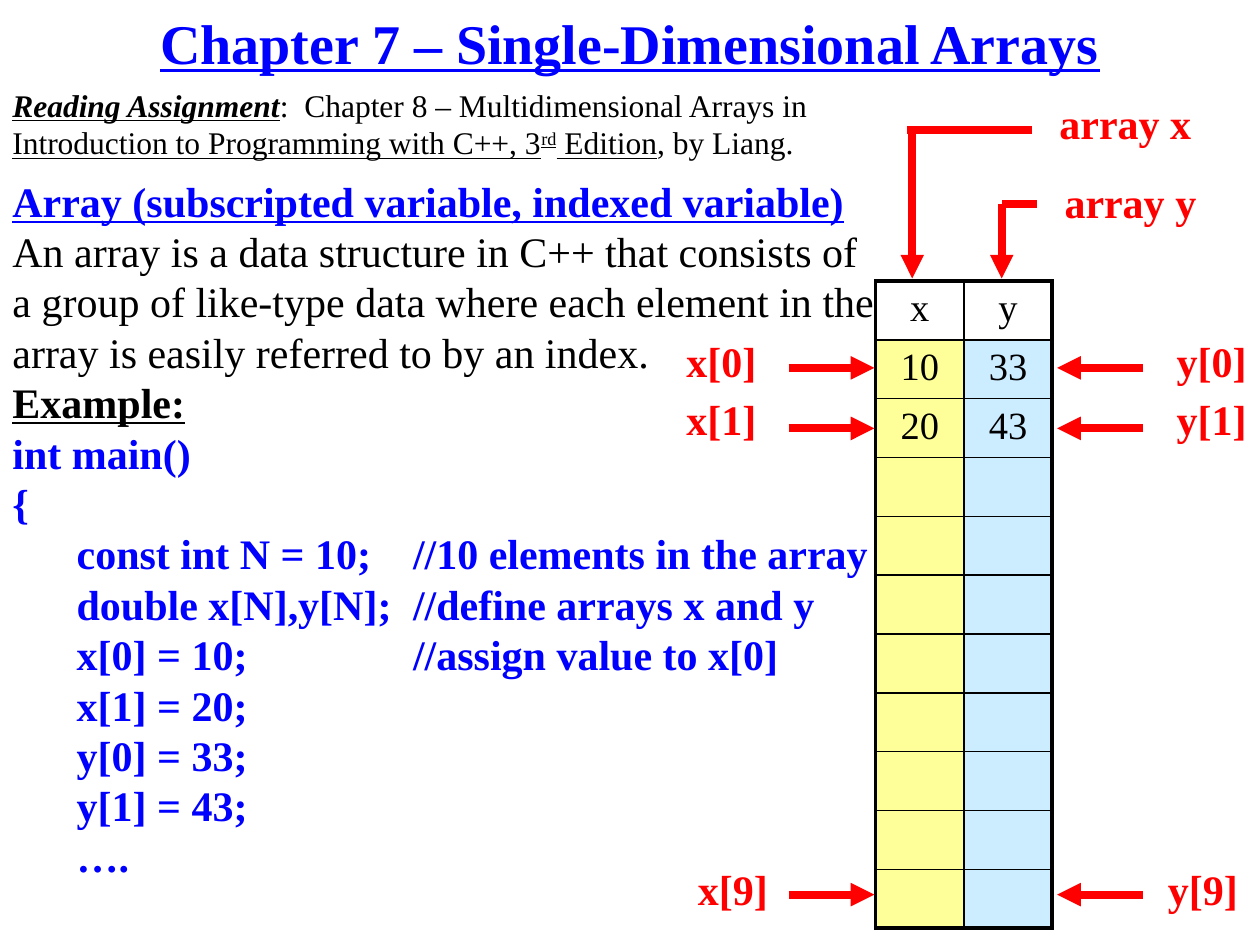
from lxml import etree
from pptx import Presentation
from pptx import util as u
from pptx.dml.color import RGBColor
from pptx.enum import shapes, text
from pptx.oxml.ns import qn

PX = 9144  # EMU per px, at 100 px to the inch
BLUE, RED, BLACK, WHITE = "0000FF", "FF0000", "000000", "FFFFFF"
YELLOW, SKY = "FFFF99", "CCECFF"


def px(length):
    return u.Emu(length * PX)


def colour(value):
    return RGBColor.from_string(value)


def add_child(parent, tag, **attributes):
    return etree.SubElement(parent, qn(tag), attributes)


class Slide:
    font_name = "Times New Roman"

    def __init__(self, page):
        self.page = page

    def style(self, font, size, fill, bold=False, underline=None, italic=None):
        font.name, font.size = self.font_name, u.Pt(size)
        font.color.rgb = colour(fill)
        font.bold, font.underline, font.italic = bold, underline, italic

    def title(self, words, left, top, width, height):
        box = self.page.shapes.title
        box.left, box.top, box.width, box.height = map(px, (left, top, width, height))
        box.text_frame.text = words
        box.text_frame.vertical_anchor = text.MSO_ANCHOR.MIDDLE
        para = box.text_frame.paragraphs[0]
        para.alignment = text.PP_ALIGN.CENTER
        self.style(para.font, 32, BLUE, bold=True, underline=True)

    def prose(self, paragraphs, size, left, top, width, height, tabs=()):
        """Each paragraph is a list of (words, colour, flags); flags hold b, i, u or ^."""
        box = self.page.shapes.add_textbox(*map(px, (left, top, width, height)))
        frame = box.text_frame
        frame.word_wrap = True
        for index, spans in enumerate(paragraphs):
            para = frame.add_paragraph() if index else frame.paragraphs[0]
            if tabs:
                stops = add_child(para._p.get_or_add_pPr(), "a:tabLst")
                for stop in tabs:
                    add_child(stops, "a:tab", pos=str(px(stop)), algn="l")
            for words, fill, flags in spans:
                span = para.add_run()
                span.text = words
                self.style(span.font, size, fill, "b" in flags, "u" in flags, "i" in flags)
                if "^" in flags:
                    span._r.get_or_add_rPr().set("baseline", "30000")

    def label(self, words, left, top, width=76, fill=None):
        place = [px(length) for length in (left, top, width, 42)]
        if fill:
            box = self.page.shapes.add_shape(shapes.MSO_SHAPE.RECTANGLE, *place)
            box.shadow.inherit = False
            box.fill.solid()
            box.fill.fore_color.rgb = colour(fill)
            box.line.fill.background()
        else:
            box = self.page.shapes.add_textbox(*place)
        frame = box.text_frame
        frame.word_wrap = False
        frame.vertical_anchor = text.MSO_ANCHOR.TOP
        frame.text = words
        para = frame.paragraphs[0]
        para.alignment = text.PP_ALIGN.LEFT
        para.line_spacing = 0.8
        self.style(para.font, 24, RED, bold=True)

    def line(self, x1, y1, x2, y2, arrow=True):
        link = self.page.shapes.add_connector(
            shapes.MSO_CONNECTOR.STRAIGHT, *map(px, (x1, y1, x2, y2)))
        link.line.color.rgb = colour(RED)
        link.line.width = u.Pt(4.5)
        if arrow:
            add_child(link.line._get_or_add_ln(), "a:tailEnd", type="triangle")
        add_child(link._element.spPr, "a:effectLst")

    def borders(self, cell, thick_sides):
        for side in "LRTB":
            width = u.Pt(2.25 if side in thick_sides else 1)
            edge = add_child(cell._tc.get_or_add_tcPr(), f"a:ln{side}", w=str(width))
            add_child(add_child(edge, "a:solidFill"), "a:srgbClr", val=BLACK)

    def table(self, rows, fills, left, top, width, height):
        """Draws a grid with a thick frame; the first row stays white."""
        grid = self.page.shapes.add_table(
            len(rows), len(fills), *map(px, (left, top, width, height))).table
        grid.first_row = grid.horz_banding = False
        for r, row in enumerate(rows):
            for c, words in enumerate(row):
                cell = grid.cell(r, c)
                self.borders(cell, ("L" if c == 0 else "R")
                             + ("T" if r == 0 else "")
                             + ("B" if r == len(rows) - 1 else ""))
                cell.fill.solid()
                cell.fill.fore_color.rgb = colour(fills[c] if r else WHITE)
                cell.text = words
                para = cell.text_frame.paragraphs[0]
                para.alignment = text.PP_ALIGN.CENTER
                self.style(para.font, 22, BLACK)


def main():
    deck = Presentation()
    deck.slide_width, deck.slide_height = px(1000), px(750)
    slide = Slide(deck.slides.add_slide(deck.slide_layouts[5]))

    slide.title("Chapter 7 – Single-Dimensional Arrays", 75, 0, 850, 67)

    code = [
        "int main()",
        "{",
        "\tconst int N = 10;\t//10 elements in the array",
        "\tdouble x[N],y[N];\t//define arrays x and y",
        "\tx[0] = 10;\t//assign value to x[0]",
        "\tx[1] = 20;",
        "\ty[0] = 33;",
        "\ty[1] = 43;",
        "\t….",
    ]
    definition = [
        ("Array (subscripted variable, indexed variable)", BLUE, "bu"),
        (" ", BLUE, "bi"),
        ("An array is a data structure in C++ that consists of a group of "
         "like-type data where each element in the array is easily referred "
         "to by an index.", BLACK, ""),
    ]
    slide.prose([definition, [("Example:", BLACK, "bu")]]
                + [[(words, BLUE, "b")] for words in code],
                24, 0, 134, 709, 616, tabs=(51, 318))

    values = [("x", "y"), ("10", "33"), ("20", "43")] + [("", "")] * 8
    slide.table(values, (YELLOW, SKY), 695, 223, 140, 513)

    slide.label("array x", 831, 80, 125)
    slide.line(819, 103, 720, 103, arrow=False)
    slide.line(724, 103, 724, 221)
    slide.label("array y", 835, 143, 125)
    slide.line(823, 162, 795, 162, arrow=False)
    slide.line(795, 162, 795, 221)

    for index, x_left, y_left, top, middle in (
            (0, 535, 924, 269, 292), (1, 535, 924, 315, 340), (9, 544, 917, 688, 710)):
        slide.label(f"x[{index}]", x_left, top)
        slide.line(626, middle, 694, middle)
        slide.label(f"y[{index}]", y_left, top, fill=WHITE)
        slide.line(907, middle, 839, middle)

    reading = [
        ("Reading Assignment", BLACK, "biu"),
        (":  Chapter 8 – Multidimensional Arrays in ", BLACK, ""),
        ("Introduction to Programming with C++, 3", BLACK, "u"),
        ("rd", BLACK, "u^"),
        (" Edition", BLACK, "u"),
        (", by Liang.", BLACK, ""),
    ]
    slide.prose([reading], 18, 0, 63, 694, 71)

    deck.save("out.pptx")


if __name__ == "__main__":
    main()
